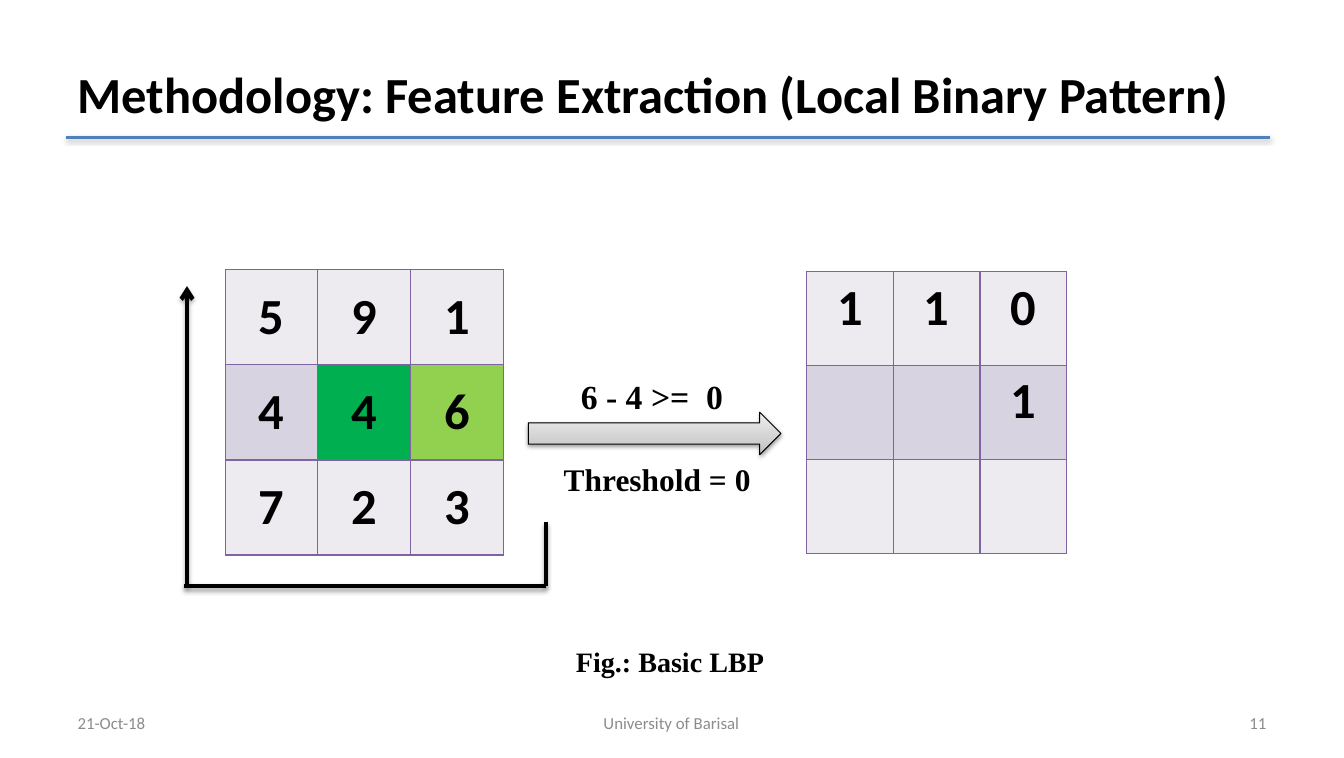
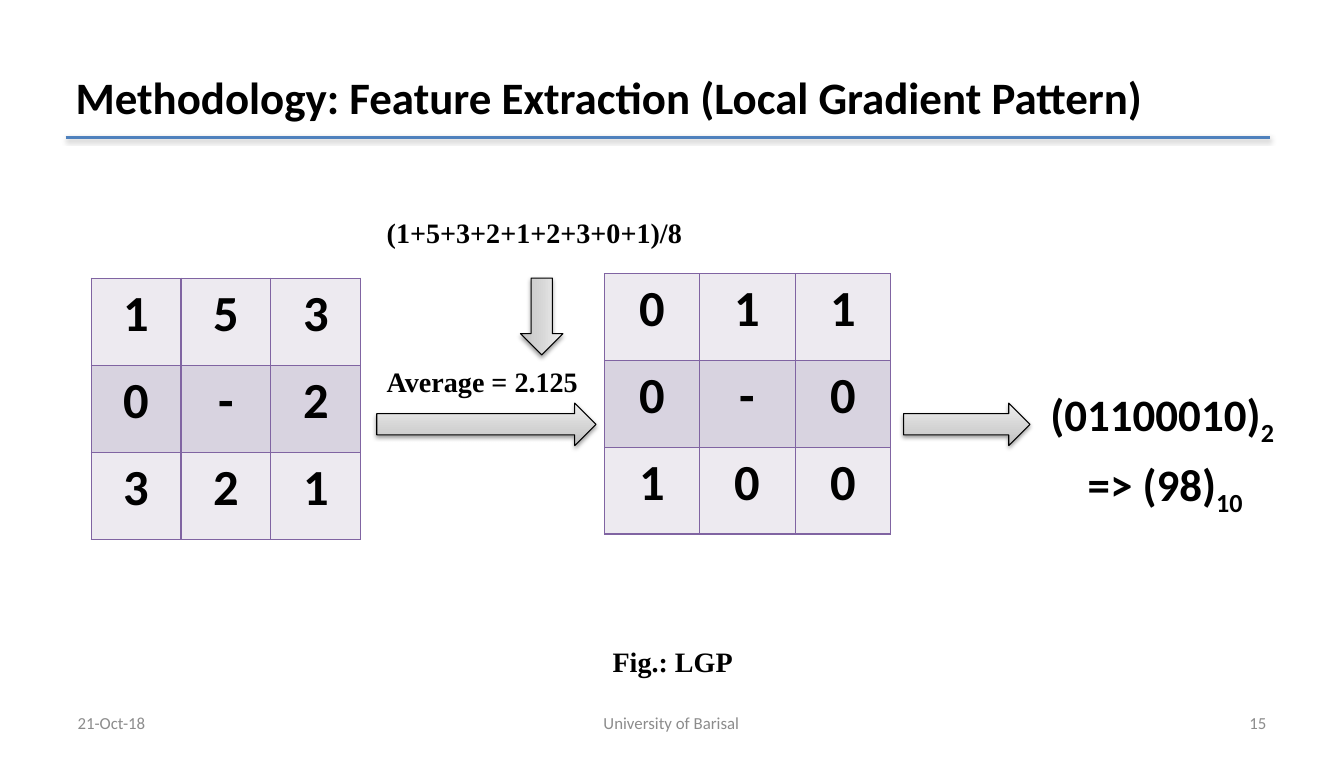
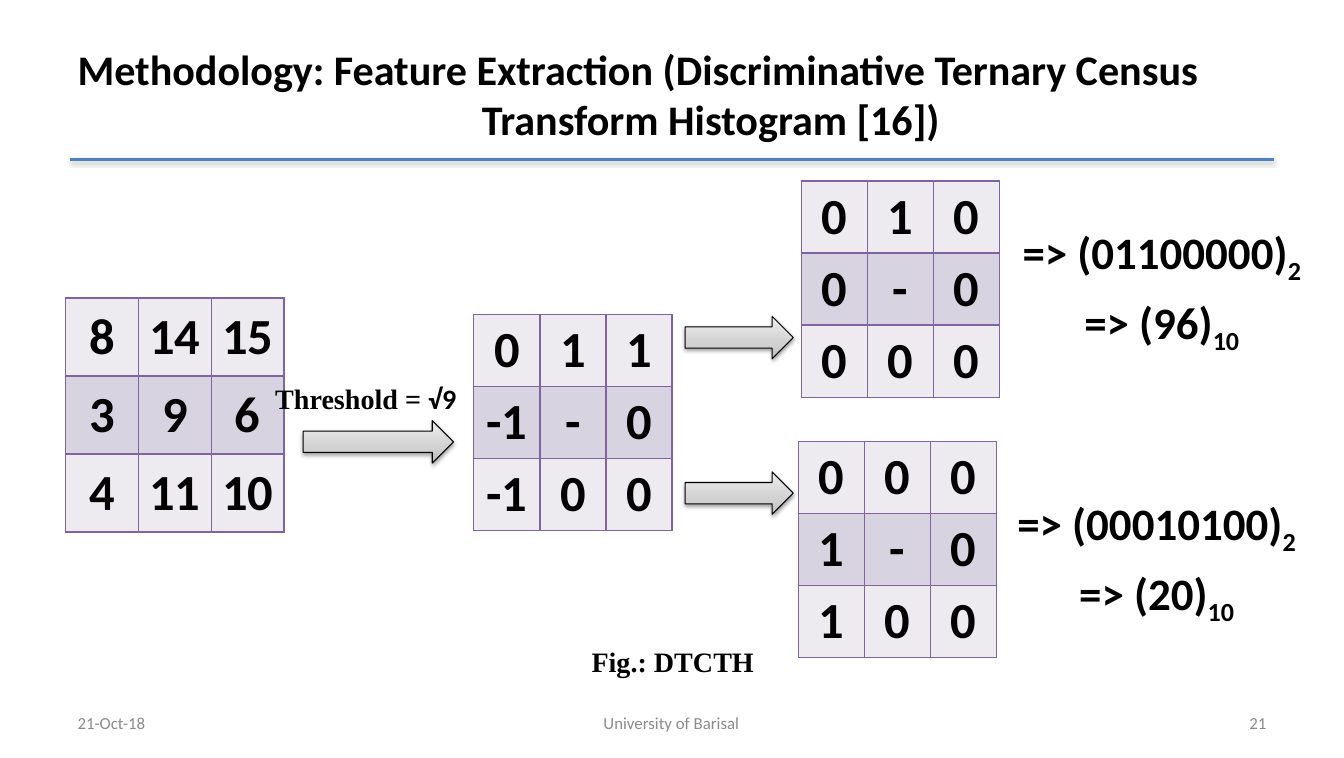
import copy
from dataclasses import dataclass
from typing import NamedTuple, Optional

import pptx
import pptx.dml.color
import pptx.enum.shapes
import pptx.enum.text
import pptx.oxml
import pptx.oxml.ns
import pptx.presentation
import pptx.shapes.base
import pptx.slide
import pptx.util

Cm = pptx.util.Cm
Pt = pptx.util.Pt
qn = pptx.oxml.ns.qn
ALIGN = pptx.enum.text.PP_ALIGN
ANCHOR = pptx.enum.text.MSO_ANCHOR

# Shared look
SANS, SERIF = "Calibri", "Times New Roman"
BLACK, GREY, BLUE, PURPLE = "000000", "8C8C8C", "4F81BD", "8064A2"
BANDS = ("EDEAF0", "D8D3E0")
GREEN, LIME = "00B050", "92D050"
ARROW_STOPS = ((0, "BDBDBD"), (0.35, "D1D1D1"), (1, "EEEEEE"))
ARROW_HEIGHT = 1.07
RULE_LENGTH = 30.28
DATE, SCHOOL = "21-Oct-18", "University of Barisal"


class Frame(NamedTuple):
    """Left, top, width and height in centimetres."""
    left: float
    top: float
    width: float
    height: float = ARROW_HEIGHT


class Span(NamedTuple):
    text: str
    font: Optional[str] = None
    subscript: bool = False


@dataclass
class Grid:
    left: float
    top: float
    column: float
    row: float
    values: str  # rows split by "/", cells by ","
    middle: bool = False
    marked: Optional[dict[tuple[int, int], str]] = None


@dataclass
class Heading:
    lines: list[str]
    size: float
    left: float = 1.7
    top: float = 0.76
    rule_left: float = 1.65
    rule_top: float = 3.45
    indent: float = 0


def color(code: str) -> pptx.dml.color.RGBColor:
    return pptx.dml.color.RGBColor.from_string(code)


def add_text(page: pptx.slide.Slide, frame: Frame, lines: list, *, size: float,
             font: str = SERIF, ink: str = BLACK, bold: bool = True,
             align: ALIGN = ALIGN.LEFT, anchor: ANCHOR = ANCHOR.TOP,
             gap: float = 0, indent: float = 0) -> None:
    """Each line is a string or a list of spans; gap and indent apply after the first."""
    box = page.shapes.add_textbox(*map(Cm, frame))
    box.text_frame.word_wrap = True
    box.text_frame.vertical_anchor = anchor
    for index, line in enumerate(lines):
        para = box.text_frame.paragraphs[0] if index == 0 else box.text_frame.add_paragraph()
        para.alignment = align
        if index and gap:
            para.space_before = Pt(gap)
        if index and indent:
            properties = para._p.get_or_add_pPr()
            properties.set("marL", str(Cm(indent)))
            properties.set("indent", "0")
        for part in [Span(line)] if isinstance(line, str) else line:
            span = para.add_run()
            span.text = part.text
            span.font.name = part.font or font
            span.font.size = Pt(size)
            span.font.bold = bold
            span.font.color.rgb = color(ink)
            if part.subscript:
                span._r.get_or_add_rPr().set("baseline", "-25000")


def add_shadow(shape: pptx.shapes.base.BaseShape, distance: int = 20000,
               alpha: int = 38000) -> None:
    shape._element.spPr.append(pptx.oxml.parse_xml(
        f'<a:effectLst {pptx.oxml.ns.nsdecls("a")}>'
        f'<a:outerShdw blurRad="40000" dist="{distance}" dir="5400000" rotWithShape="0">'
        f'<a:srgbClr val="{BLACK}"><a:alpha val="{alpha}"/></a:srgbClr>'
        '</a:outerShdw></a:effectLst>'))


def add_line(page: pptx.slide.Slide, start: tuple[float, float], end: tuple[float, float],
             ink: str, width: float, head: bool = False, **shadow: int) -> None:
    line = page.shapes.add_connector(pptx.enum.shapes.MSO_CONNECTOR.STRAIGHT,
                                     *map(Cm, start + end))
    line.line.color.rgb = color(ink)
    line.line.width = Pt(width)
    if head:
        line.line._get_or_add_ln().append(pptx.oxml.parse_xml(
            f'<a:tailEnd {pptx.oxml.ns.nsdecls("a")} type="arrow"/>'))
    add_shadow(line, **shadow)


def add_arrow(page: pptx.slide.Slide, left: float, top: float, width: float,
              rotation: float = 0) -> None:
    arrow = page.shapes.add_shape(pptx.enum.shapes.MSO_SHAPE.RIGHT_ARROW,
                                  *map(Cm, Frame(left, top, width)))
    arrow.rotation = rotation
    arrow.fill.gradient()
    arrow.fill.gradient_angle = 90
    stops = arrow._element.spPr.find(".//" + qn("a:gsLst"))
    stops.append(copy.deepcopy(stops[-1]))
    for stop, (position, code) in zip(arrow.fill.gradient_stops, ARROW_STOPS):
        stop.position = position
        stop.color.rgb = color(code)
    arrow.line.color.rgb = color(BLACK)
    arrow.line.width = Pt(0.75)
    add_shadow(arrow)


def add_grid(page: pptx.slide.Slide, grid: Grid) -> None:
    rows = [row.split(",") for row in grid.values.split("/")]
    count = len(rows[0])
    table = page.shapes.add_table(
        len(rows), count, Cm(grid.left), Cm(grid.top),
        Cm(grid.column * count), Cm(grid.row * len(rows))).table
    for column in table.columns:
        column.width = Cm(grid.column)
    for y, row in enumerate(rows):
        table.rows[y].height = Cm(grid.row)
        for x, value in enumerate(row):
            cell = table.cell(y, x)
            cell.fill.solid()
            cell.fill.fore_color.rgb = color((grid.marked or {}).get((y, x), BANDS[y % 2]))
            cell.vertical_anchor = ANCHOR.MIDDLE if grid.middle else ANCHOR.TOP
            for index, side in enumerate("LRTB"):
                cell._tc.get_or_add_tcPr().insert(index, pptx.oxml.parse_xml(
                    f'<a:ln{side} {pptx.oxml.ns.nsdecls("a")} w="12700"><a:solidFill>'
                    f'<a:srgbClr val="{PURPLE}"/></a:solidFill></a:ln{side}>'))
            if value:
                para = cell.text_frame.paragraphs[0]
                para.alignment = ALIGN.CENTER
                span = para.add_run()
                span.text = value
                span.font.name, span.font.size, span.font.bold = SANS, Pt(36), True
                span.font.color.rgb = color(BLACK)


def add_result(page: pptx.slide.Slide, left: float, top: float, width: float,
               binary: str, decimal: str) -> None:
    add_text(page, Frame(left, top, width, 3.51),
             [[Span(binary), Span("2 ", subscript=True)],
              [Span(decimal), Span("10", subscript=True)]],
             size=32, font=SANS, align=ALIGN.CENTER, gap=6.4)


def add_page(deck: pptx.presentation.Presentation, heading: Heading, caption: str,
             number: int) -> pptx.slide.Slide:
    """Blank page with title, rule, caption and footer."""
    page = deck.slides.add_slide(deck.slide_layouts[6])
    add_text(page, Frame(heading.left, heading.top, 30.4, 3.18), heading.lines,
             size=heading.size, font=SANS, anchor=ANCHOR.MIDDLE, indent=heading.indent)
    add_line(page, (heading.rule_left, heading.rule_top),
             (heading.rule_left + RULE_LENGTH, heading.rule_top), BLUE, 2)
    add_text(page, Frame(7.7, 16.08, 18.42, 1.4), [caption], size=20, align=ALIGN.CENTER)
    for left, width, text, align in ((1.7, 7.87, DATE, ALIGN.LEFT),
                                     (11.53, 10.69, SCHOOL, ALIGN.CENTER),
                                     (24.21, 7.87, str(number), ALIGN.RIGHT)):
        add_text(page, Frame(left, 17.65, width, 1.02), [text], size=12, font=SANS,
                 ink=GREY, bold=False, align=align, anchor=ANCHOR.MIDDLE)
    return page


def build_binary_pattern(deck: pptx.presentation.Presentation) -> None:
    page = add_page(deck, Heading(
        ["Methodology: Feature Extraction (Local Binary Pattern)"], 36), "Fig.: Basic LBP ", 11)
    add_grid(page, Grid(5.66, 6.78, 2.33, 2.39, "5,9,1/4,4,6/7,2,3", middle=True,
                        marked={(1, 1): GREEN, (1, 2): LIME}))
    add_grid(page, Grid(20.27, 6.83, 2.18, 2.36, "1,1,0/,,1/,,"))
    add_arrow(page, 13.28, 10.36, 6.35)
    add_text(page, Frame(13.92, 11.43, 6.55), ["Threshold = 0"], size=22.4)
    add_text(page, Frame(14.35, 9.32, 4.88, 1.27), ["6 - 4 >=  0"], size=24)
    # Reading direction around the grid
    left, right, bottom = 4.7, 13.72, 14.73
    for start, end, head in (((right, 13.13), (right, bottom), False),
                             ((left, bottom), (left, 7.19), True),
                             ((left - 0.08, bottom), (right, bottom), False)):
        add_line(page, start, end, BLACK, 3, head, distance=23000, alpha=35000)


def build_gradient_pattern(deck: pptx.presentation.Presentation) -> None:
    page = add_page(deck, Heading(
        ["Methodology: Feature Extraction (Local Gradient Pattern)"], 32, left=1.65, top=0.84),
        "Fig.: LGP", 15)
    add_grid(page, Grid(2.29, 6.99, 2.26, 2.19, "1,5,3/0,-,2/3,2,1"))
    add_grid(page, Grid(15.19, 6.88, 2.4, 2.18, "0,1,1/0,-,0/1,0,0"))
    add_arrow(page, 9.47, 10.13, 5.51)
    add_arrow(page, 22.71, 10.13, 3.18)
    add_arrow(page, 12.65, 7.42, 1.93, rotation=90)
    add_text(page, Frame(9.47, 5.28, 8.46), ["(1+5+3+2+1+2+3+0+1)/8"], size=20)
    add_text(page, Frame(9.47, 9.04, 6.55), ["Average = 2.125"], size=20)
    add_result(page, 26.01, 9.58, 6.55, "(01100010)", "=> (98)")


def build_census_histogram(deck: pptx.presentation.Presentation) -> None:
    page = add_page(deck, Heading(
        ["Methodology: Feature Extraction (Discriminative Ternary Census",
         "Transform Histogram [16])"], 30, rule_left=1.75, rule_top=4.01, indent=10.16),
        "Fig.: DTCTH", 21)
    add_grid(page, Grid(1.65, 7.49, 1.83, 1.96, "8,14,15/3,9,6/4,11,10", middle=True))
    for left, top, values in ((11.91, 7.9, "0,1,1/-1,-,0/-1,0,0"),
                              (20.14, 4.55, "0,1,0/0,-,0/0,0,0"),
                              (20.07, 11.1, "0,0,0/1,-,0/1,0,0")):
        add_grid(page, Grid(left, top, 1.66, 1.81, values))
    add_arrow(page, 7.62, 10.57, 3.78)
    for top in (7.95, 11.86):
        add_arrow(page, 17.22, top, 2.72)
    add_text(page, Frame(6.2, 9.47, 6.15), [[Span("Threshold = "), Span("√9 ", SANS)]],
             size=20, align=ALIGN.CENTER)
    add_result(page, 25.4, 5.51, 7.6, "=> (01100000)", "=> (96)")
    add_result(page, 25.27, 12.32, 7.6, "=> (00010100)", "=> (20)")


def main() -> None:
    deck = pptx.Presentation()
    deck.slide_width, deck.slide_height = Cm(33.78), Cm(19.05)
    build_binary_pattern(deck)
    build_gradient_pattern(deck)
    build_census_histogram(deck)
    deck.save("out.pptx")


if __name__ == "__main__":
    main()
